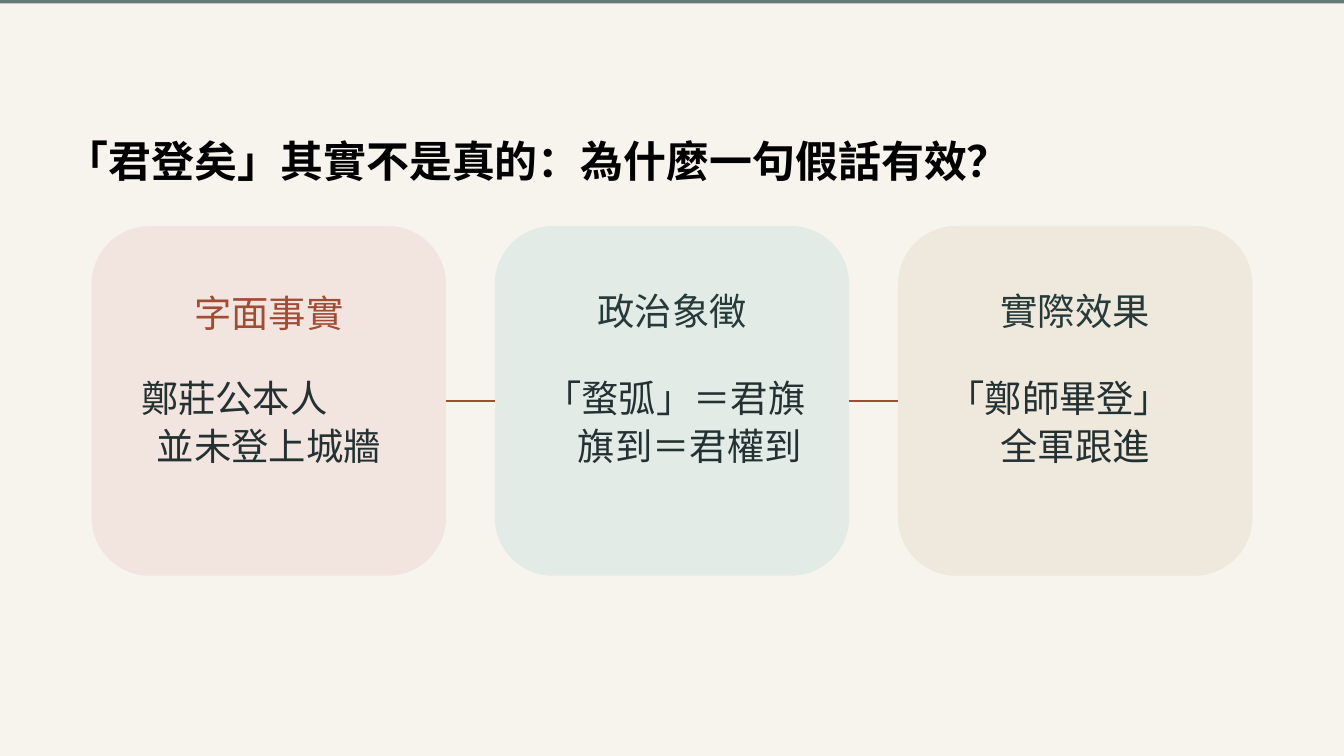
from lxml import etree
from pptx import Presentation
from pptx import util as u
from pptx.dml.color import RGBColor
from pptx.enum import shapes, text
from pptx.oxml import ns

COLORS = {
    "background": "F7F4EE",
    "top_bar": "647A73",
    "title": "000000",
    "rust": "A14D34",
    "heading": "263A3A",
    "body": "243132",
    "rose": "F2E4DF",
    "mint": "E3EBE7",
    "sand": "EEE8DD",
}
CJK_FONT = "Noto Sans CJK JP"
LEFT, CENTER = text.PP_ALIGN.LEFT, text.PP_ALIGN.CENTER


def color(name):
    return RGBColor.from_string(COLORS[name])


def add_text(lines, left, top, width, height, ink, font=CJK_FONT, size=40, bold=False):
    frame = slide.shapes.add_textbox(
        u.Inches(left), u.Inches(top), u.Inches(width), u.Inches(height)
    ).text_frame
    frame.margin_left = frame.margin_right = frame.margin_top = frame.margin_bottom = 0
    frame.word_wrap = True
    frame.auto_size = text.MSO_AUTO_SIZE.SHAPE_TO_FIT_TEXT
    for index, (wording, align, spacing) in enumerate(lines):
        paragraph = frame.add_paragraph() if index else frame.paragraphs[0]
        paragraph.alignment = align
        paragraph.line_spacing = u.Pt(spacing)
        run = paragraph.add_run()
        run.text = wording
        run.font.size = u.Pt(size)
        run.font.bold = bold
        run.font.color.rgb = color(ink)
        run.font.name = font
        etree.SubElement(run.font._element, ns.qn("a:ea"), typeface=font)


deck = Presentation()
deck.slide_width, deck.slide_height = u.Inches(20), u.Inches(11.25)
slide = deck.slides.add_slide(deck.slide_layouts[6])
slide.background.fill.solid()
slide.background.fill.fore_color.rgb = color("background")

add_text([("「君登矣」其實不是真的：為什麼一句假話有效？", LEFT, 58)],
         0.98, 1.97, 17.9, 0.78, "title", font="Noto Sans", size=46, bold=True)

top_bar = slide.shapes.add_shape(
    shapes.MSO_SHAPE.RECTANGLE, 0, 0, deck.slide_width, u.Inches(0.05))
top_bar.shadow.inherit = False
top_bar.fill.solid()
top_bar.fill.fore_color.rgb = color("top_bar")
top_bar.line.fill.background()

STEPS = [
    ("rose", "字面事實", "rust", 4.29, "鄭莊公本人", "並未登上城牆", 3.8),
    ("mint", "政治象徵", "heading", 4.25, "「蝥弧」＝君旗", "旗到＝君權到", 4.33),
    ("sand", "實際效果", "heading", 4.25, "「鄭師畢登」", "全軍跟進", 3.8),
]
CARD_LEFT, CARD_TOP, CARD_WIDTH, CARD_HEIGHT = 1.37, 3.37, 5.26, 5.19
CARD_PITCH, CORNER = 6, 0.86

cards = []
for index, (tint, heading, ink, heading_top, first, second, body_width) in enumerate(STEPS):
    left = CARD_LEFT + index * CARD_PITCH
    card = slide.shapes.add_shape(
        shapes.MSO_SHAPE.ROUNDED_RECTANGLE,
        u.Inches(left), u.Inches(CARD_TOP), u.Inches(CARD_WIDTH), u.Inches(CARD_HEIGHT))
    card.adjustments[0] = CORNER / CARD_HEIGHT
    card.shadow.inherit = False
    card.fill.solid()
    card.fill.fore_color.rgb = color(tint)
    card.line.color.rgb = color(tint)
    card.line.width = u.Pt(1.05)
    cards.append(card)
    add_text([(heading, CENTER, 50.4)], left + 1.52, heading_top, 2.22, 0.7, ink)
    add_text([(first, LEFT, 48), (second, CENTER, 50.4)],
             left + 0.73, 5.59, body_width, 1.34, "body")

for before, after in zip(cards, cards[1:]):
    link = slide.shapes.add_connector(shapes.MSO_CONNECTOR.STRAIGHT, 0, 0, 0, 0)
    link.begin_connect(before, 3)
    link.end_connect(after, 1)
    link.line.color.rgb = color("rust")
    link.line.width = u.Pt(1.5)
    etree.SubElement(link._element.spPr, ns.qn("a:effectLst"))

deck.save("out.pptx")
